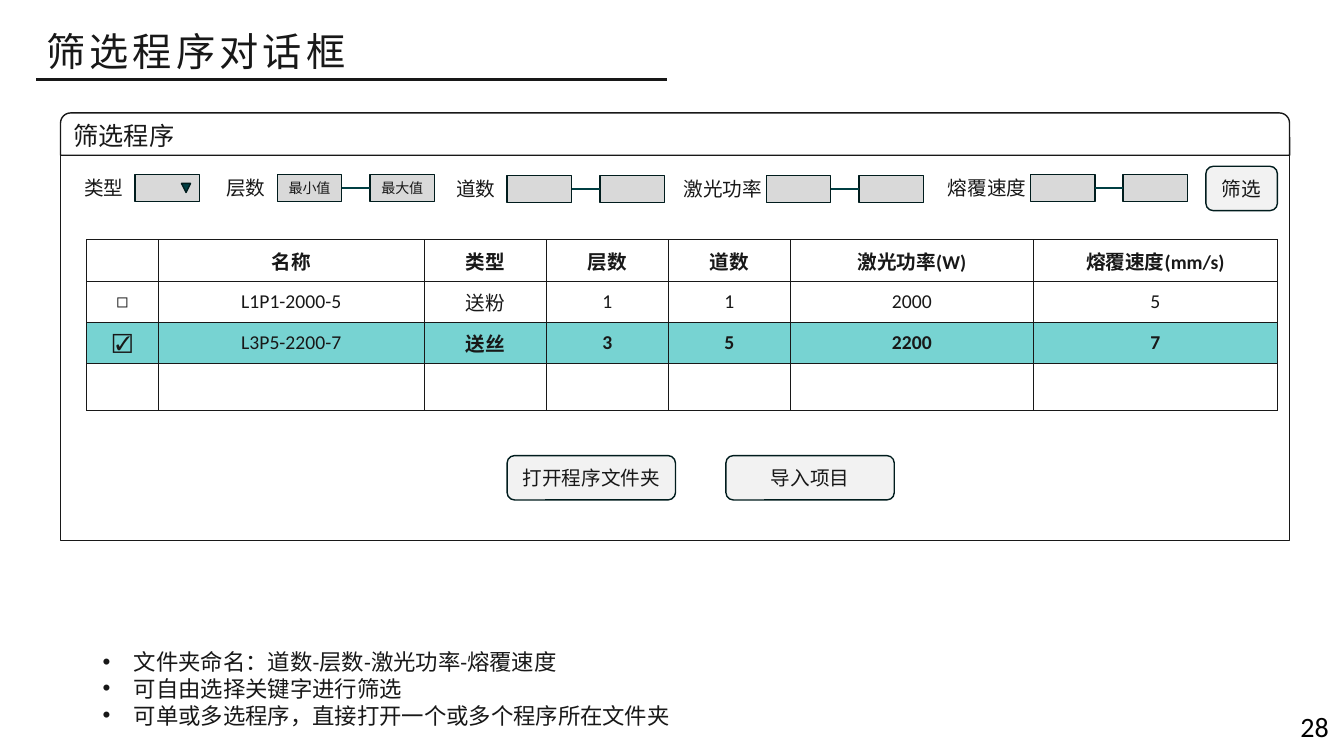
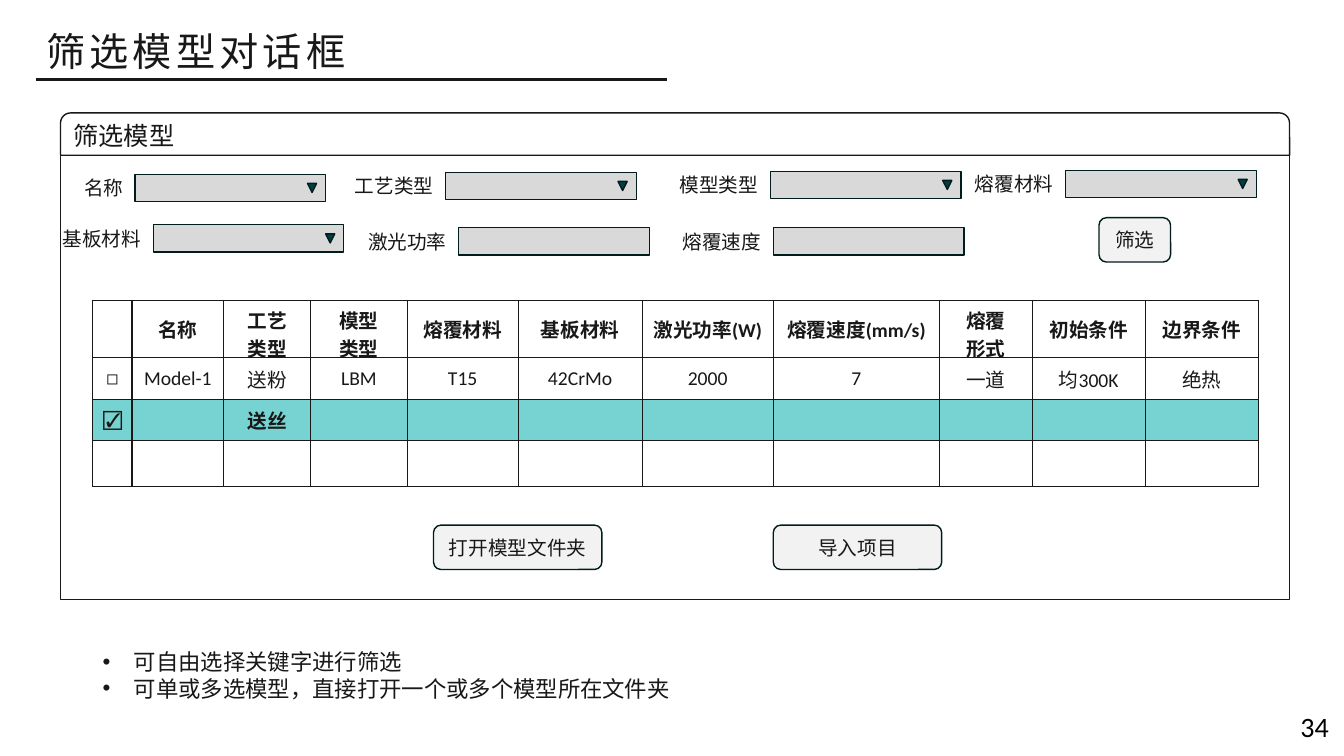
from lxml.etree import SubElement
from pptx import Presentation
from pptx.dml.color import RGBColor
from pptx.enum.shapes import MSO_CONNECTOR, MSO_SHAPE
from pptx.enum.text import MSO_ANCHOR, PP_ALIGN
from pptx.oxml.ns import qn
from pptx.util import Inches, Pt

INK = RGBColor(0x18, 0x18, 0x18)
BLACK = RGBColor(0, 0, 0)
WHITE = RGBColor(0xFF, 0xFF, 0xFF)
EDGE = RGBColor(0x00, 0x1C, 0x1D)
TEAL = RGBColor(0x00, 0x3F, 0x43)
PICKED = RGBColor(0x77, 0xD3, 0xD2)
GREY = RGBColor(0xD9, 0xD9, 0xD9)
PALE = RGBColor(0xF2, 0xF2, 0xF2)
FONT = "Calibri"

LEFT, TOP, WIDE = 0.6, 1.12, 12.19  # dialog frame
BAR = 0.42
FIELD, SMALL, LONG = 0.27, 0.64, 1.89  # input height and widths


def write(frame, text, size, align=PP_ALIGN.LEFT, color=INK, bold=False):
    frame.text = text
    for par in frame.paragraphs:
        par.alignment = align
        for run in par.runs:
            run.font.name = FONT
            run.font.size = Pt(size)
            run.font.bold = bold
            run.font.color.rgb = color


def add_text(slide, text, box, size, wrap=True, **style):
    shape = slide.shapes.add_textbox(*map(Inches, box))
    shape.text_frame.word_wrap = wrap
    write(shape.text_frame, text, size, **style)
    return shape.text_frame


def add_label(slide, text, x, y, w):
    frame = add_text(slide, text, (x, y, w, FIELD), 14, align=PP_ALIGN.CENTER)
    frame.vertical_anchor = MSO_ANCHOR.MIDDLE


def add_box(slide, kind, box, fill=None, edge=EDGE, text="", size=14,
            align=PP_ALIGN.CENTER):
    shape = slide.shapes.add_shape(kind, *map(Inches, box))
    shape.shadow.inherit = False
    if fill is None:
        shape.fill.background()
    else:
        shape.fill.solid()
        shape.fill.fore_color.rgb = fill
    shape.line.color.rgb = edge
    shape.line.width = Pt(1)
    if text:
        shape.text_frame.vertical_anchor = MSO_ANCHOR.MIDDLE
        write(shape.text_frame, text, size, align)
    return shape


def add_line(slide, x, y, end, color, width):
    """Draw a level line from x to end."""
    line = slide.shapes.add_connector(
        MSO_CONNECTOR.STRAIGHT, *map(Inches, (x, y, end, y)))
    line.line.color.rgb = color
    line.line.width = Pt(width)
    SubElement(line._element.spPr, qn("a:effectLst"))


def add_button(slide, text, x, y, w=1.67):
    add_box(slide, MSO_SHAPE.ROUNDED_RECTANGLE, (x, y, w, 0.44), PALE, text=text)


def add_input(slide, x, y, w=SMALL, text=""):
    add_box(slide, MSO_SHAPE.RECTANGLE, (x, y, w, FIELD), GREY, text=text, size=10)


def add_field(slide, name, x, y, w=LONG, drop=True):
    """Place a label and one input, with a drop-down mark if wanted."""
    wide = 0.2 + 0.2 * len(name)
    add_label(slide, name, x, y, wide)
    start = x + wide + 0.01
    add_input(slide, start, y, w)
    if drop:
        mark = add_box(slide, MSO_SHAPE.ISOSCELES_TRIANGLE,
                       (start + w - 0.18, y + 0.09, 0.09, 0.09), TEAL)
        mark.rotation = 180


def add_range(slide, name, x, y, low="", high=""):
    """Place a label and two inputs joined by a dash."""
    wide = 0.56 + 0.12 * len(name)
    add_label(slide, name, x, y, wide)
    first = x + wide - 0.09
    second = first + 0.92
    add_input(slide, first, y, text=low)
    add_input(slide, second, y, text=high)
    add_line(slide, first + SMALL, y + FIELD / 2, second, TEAL, 1.5)


def add_dialog(slide, name, high):
    bar = add_box(slide, MSO_SHAPE.ROUND_2_SAME_RECTANGLE, (LEFT, TOP, WIDE, BAR),
                  edge=INK, text=name, size=18, align=PP_ALIGN.LEFT)
    bar.adjustments[0] = 0.24
    add_box(slide, MSO_SHAPE.RECTANGLE, (LEFT, TOP + BAR, WIDE, high), edge=INK)


def fill_cell(cell, text, fill, bold):
    props = cell._tc.get_or_add_tcPr()
    for side in ("lnL", "lnR", "lnT", "lnB"):
        line = SubElement(props, qn(f"a:{side}"), w=str(Pt(1)))
        paint = SubElement(line, qn("a:solidFill"))
        SubElement(paint, qn("a:srgbClr"), val=str(INK))
    cell.fill.solid()
    cell.fill.fore_color.rgb = fill
    cell.vertical_anchor = MSO_ANCHOR.MIDDLE
    if text:
        write(cell.text_frame, text, 14, PP_ALIGN.CENTER, bold=bold)


def add_grid(slide, x, y, cols, rows, data):
    """Place the result table: bold head, third row picked."""
    frame = slide.shapes.add_table(
        len(rows), len(cols), *map(Inches, (x, y, sum(cols), sum(rows))))
    table = frame.table
    table.first_row = table.horz_banding = False
    for col, w in zip(table.columns, cols):
        col.width = Inches(w)
    for r, high in enumerate(rows):
        table.rows[r].height = Inches(high)
        texts = data[r] if r < len(data) else [""] * len(cols)
        for c, text in enumerate(texts):
            bold = r == 0 or (r == 2 and c != 1)
            fill_cell(table.cell(r, c), text, PICKED if r == 2 else WHITE, bold)


def add_notes(slide, lines):
    frame = add_text(slide, "\n".join(lines), (0.92, 6.38, 6.21, 0.3 * len(lines)), 16)
    for par in frame.paragraphs:
        props = par._p.get_or_add_pPr()
        props.set("marL", str(Inches(0.31)))
        props.set("indent", str(Inches(-0.31)))
        SubElement(props, qn("a:buFont"), typeface="Arial")
        SubElement(props, qn("a:buChar"), char="•")


def add_page(deck, title, number):
    slide = deck.slides.add_slide(deck.slide_layouts[6])
    frame = add_text(slide, title, (0.36, 0.22, 3.25, 0.57), 28, wrap=False)
    frame.paragraphs[0].runs[0].font._element.set("spc", "300")
    add_line(slide, 0.36, 0.79, 6.62, INK, 2.25)
    add_text(slide, number, (12.8, 6.99, 0.48, 0.44), 20, wrap=False, color=BLACK)
    return slide


def build_programs(deck):
    slide = add_page(deck, "筛选程序对话框", "28")
    add_grid(slide, 0.86, 2.38, [0.71, 2.64, 1.21, 1.21, 1.21, 2.41, 2.42],
             [0.41, 0.41, 0.41, 0.46], [
        ["", "名称", "类型", "层数", "道数", "激光功率(W)", "熔覆速度(mm/s)"],
        ["◻", "L1P1-2000-5", "送粉", "1", "1", "2000", "5"],
        ["☑", "L3P5-2200-7", "送丝", "3", "5", "2200", "7"],
    ])
    add_dialog(slide, "筛选程序", 3.82)
    add_field(slide, "类型", 0.73, 1.73, SMALL)
    add_range(slide, "层数", 2.04, 1.73, "最小值", "最大值")
    add_range(slide, "道数", 4.32, 1.74)
    add_range(slide, "激光功率", 6.65, 1.74)
    add_range(slide, "熔覆速度", 9.27, 1.73)
    add_button(slide, "筛选", 11.96, 1.65, 0.71)
    add_button(slide, "打开程序文件夹", 5.03, 4.52)
    add_button(slide, "导入项目", 7.2, 4.52)
    add_notes(slide, ["文件夹命名：道数-层数-激光功率-熔覆速度",
                      "可自由选择关键字进行筛选",
                      "可单或多选程序，直接打开一个或多个程序所在文件夹"])


def build_models(deck):
    slide = add_page(deck, "筛选模型对话框", "34")
    add_grid(slide, 0.92, 2.98,
             [0.39, 0.91, 0.86, 0.96, 1.1, 1.23, 1.3, 1.65, 0.92, 1.12, 1.12],
             [0.57, 0.41, 0.41, 0.46], [
        ["", "名称", "工艺\n类型", "模型\n类型", "熔覆材料", "基板材料",
         "激光功率(W)", "熔覆速度(mm/s)", "熔覆\n形式", "初始条件", "边界条件"],
        ["◻", "Model-1", "送粉", "LBM", "T15", "42CrMo", "2000", "7",
         "一道", "均300K", "绝热"],
        ["☑", "", "送丝"] + [""] * 8,
    ])
    add_dialog(slide, "筛选模型", 4.41)
    for name, x, y, drop in [
        ("名称", 0.73, 1.73, True),
        ("工艺类型", 3.41, 1.71, True),
        ("模型类型", 6.63, 1.7, True),
        ("熔覆材料", 9.56, 1.69, True),
        ("基板材料", 0.51, 2.23, True),
        ("激光功率", 3.54, 2.26, False),
        ("熔覆速度", 6.66, 2.26, False),
    ]:
        add_field(slide, name, x, y, drop=drop)
    add_button(slide, "筛选", 10.9, 2.16, 0.71)
    add_button(slide, "打开模型文件夹", 4.3, 5.21)
    add_button(slide, "导入项目", 7.67, 5.21)
    add_notes(slide, ["可自由选择关键字进行筛选",
                      "可单或多选模型，直接打开一个或多个模型所在文件夹"])


def main():
    deck = Presentation()
    deck.slide_width, deck.slide_height = Inches(13.33), Inches(7.5)
    build_programs(deck)
    build_models(deck)
    deck.save("out.pptx")


if __name__ == "__main__":
    main()
